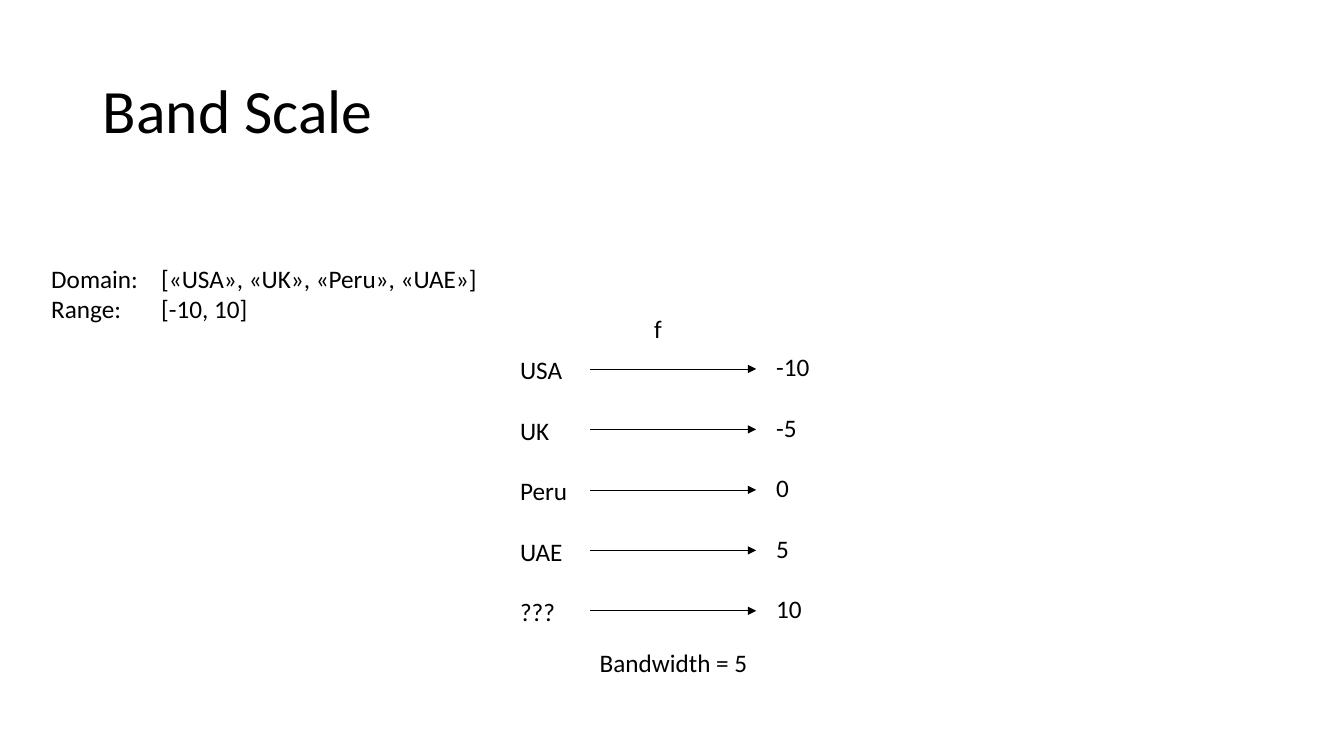
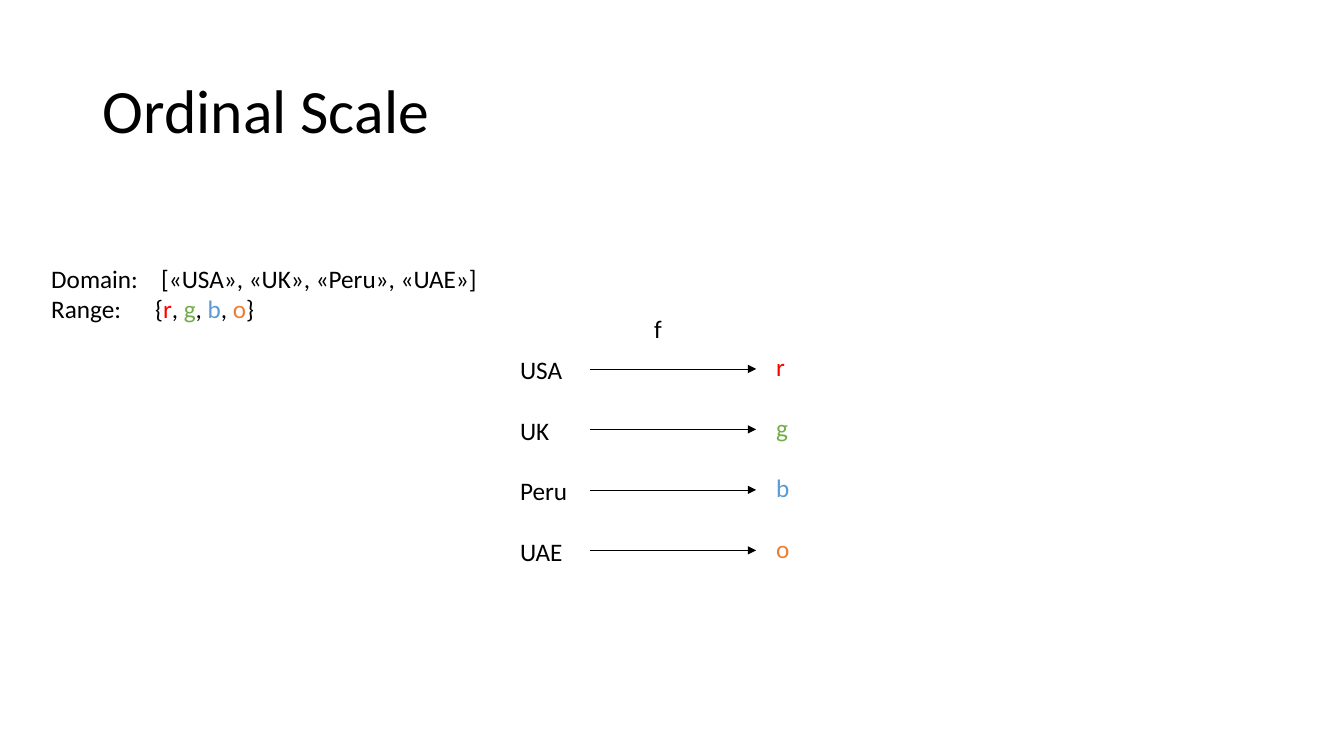
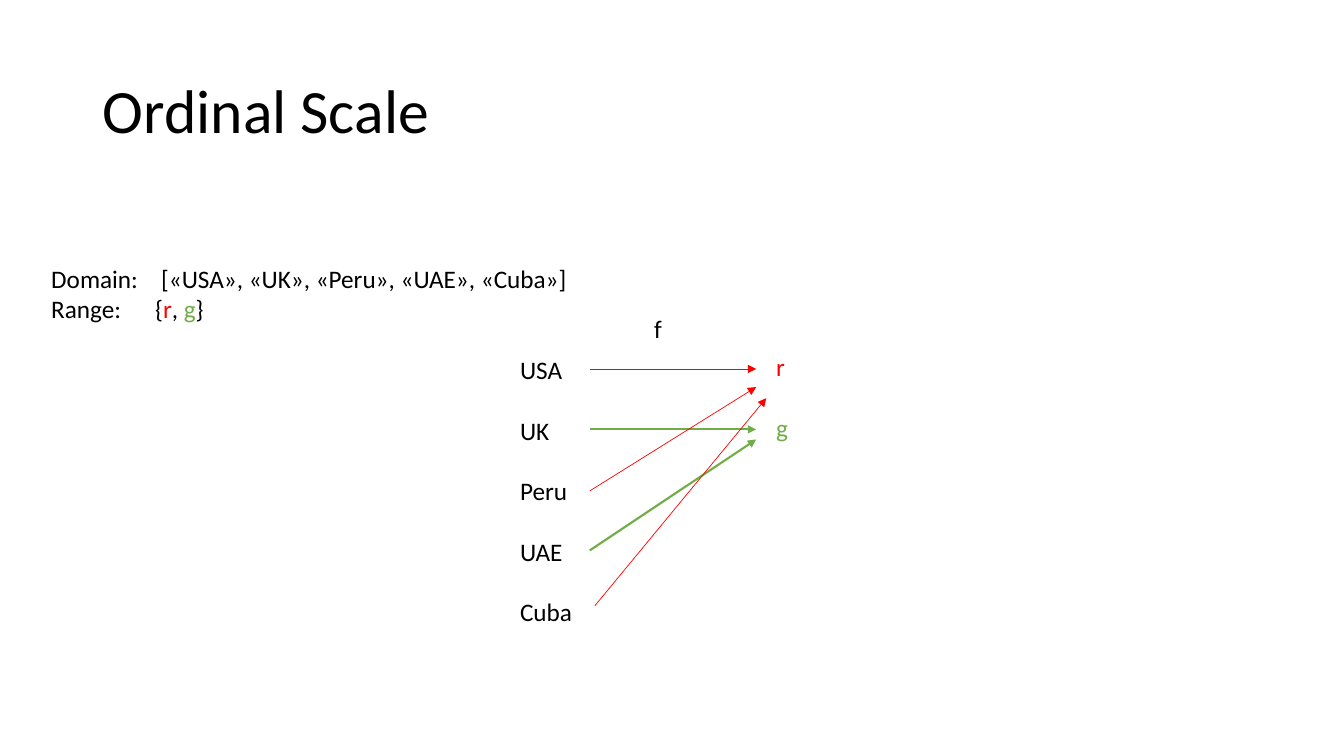
import pptx
import pptx.dml.color
import pptx.enum.shapes
import pptx.enum.text
import pptx.oxml.ns
import pptx.util
import lxml.etree

Inches = pptx.util.Inches
Pt = pptx.util.Pt

COLOURS = {
    "black": "000000",
    "red": "FF0000",
    "green": "70AD47",
    "blue": "5B9BD5",
    "orange": "ED7D31",
}
TITLE_FONT = {"name": "Calibri", "size": Pt(44)}
BODY_FONT = {"name": "Calibri", "size": Pt(18)}
TITLE_BOX = (0.92, 0.4, 11.5, 1.45)
SUMMARY_BOX = (0.41, 2.56, 5.32, 0.71)
MAPPING_BOX = (5.06, 3.06, 3.14, 3.71)
ROW_PITCH = 0.6
ARROW_START, ARROW_END, FIRST_ARROW = 0.79, 2.44, 0.6
COUNTRIES = ["USA", "UK", "Peru", "UAE"]
LETTERS = [("r", "red"), ("g", "green"), ("b", "blue"), ("o", "orange")]


def colour(name):
    return pptx.dml.color.RGBColor.from_string(COLOURS[name])


def apply_format(target, values):
    for name, value in values.items():
        setattr(target, name, value)


def place(shape, box):
    names = ("left", "top", "width", "height")
    apply_format(shape, {name: Inches(value) for name, value in zip(names, box)})


def add_runs(paragraph, runs, font):
    for text, colour_name in runs:
        run = paragraph.add_run()
        run.text = text
        apply_format(run.font, font)
        run.font.color.rgb = colour(colour_name)


def add_text(slide, box, lines, gap=0):
    shape = slide.shapes.add_textbox(*map(Inches, box))
    frame = shape.text_frame
    frame.word_wrap = True
    for index, runs in enumerate(lines):
        paragraph = frame.add_paragraph() if index else frame.paragraphs[0]
        paragraph.space_before = Pt(gap if index else 0)
        add_runs(paragraph, runs, BODY_FONT)
    return shape


def add_tab_stop(paragraph, position):
    properties = paragraph._p.get_or_add_pPr()
    tab_list = lxml.etree.SubElement(properties, pptx.oxml.ns.qn("a:tabLst"))
    tab = lxml.etree.SubElement(tab_list, pptx.oxml.ns.qn("a:tab"))
    tab.set("pos", str(Inches(position)))
    tab.set("algn", "l")


def add_arrow(slide, start, end, colour_name, width):
    arrow = slide.shapes.add_connector(
        pptx.enum.shapes.MSO_CONNECTOR.STRAIGHT, *map(Inches, start + end))
    arrow.line.color.rgb = colour(colour_name)
    arrow.line.width = Pt(width)
    head = lxml.etree.SubElement(
        arrow.line._get_or_add_ln(), pptx.oxml.ns.qn("a:tailEnd"))
    head.set("type", "triangle")
    lxml.etree.SubElement(
        arrow._element.spPr, pptx.oxml.ns.qn("a:effectLst"))


def level_arrow(row, colour_name="black", width=0.5):
    height = FIRST_ARROW + row * ROW_PITCH
    return (ARROW_START, height), (ARROW_END, height), colour_name, width


def add_title(slide, box, text):
    title = slide.shapes.title
    place(title, box)
    frame = title.text_frame
    apply_format(frame, {
        "vertical_anchor": pptx.enum.text.MSO_ANCHOR.MIDDLE,
        "auto_size": pptx.enum.text.MSO_AUTO_SIZE.NONE,
    })
    paragraph = frame.paragraphs[0]
    apply_format(paragraph, {
        "alignment": pptx.enum.text.PP_ALIGN.LEFT,
        "line_spacing": 0.9,
    })
    add_runs(paragraph, [(text, "black")], TITLE_FONT)


def add_summary(slide, box, domain, range_runs, range_tab):
    quoted = ", ".join(f"«{country}»" for country in domain)
    lines = [
        [(f"Domain:\t[{quoted}]", "black")],
        [("Range:\t", "black")] + range_runs,
    ]
    shape = add_text(slide, box, lines)
    for paragraph, position in zip(shape.text_frame.paragraphs, (1.09, range_tab)):
        add_tab_stop(paragraph, position)


def add_mapping(slide, box, inputs, outputs, arrows, note=None):
    left, top = box[:2]
    columns = [
        (0, 0.41, 0.8, [(text, "black") for text in inputs]),
        (1.33, 0, 0.4, [("f", "black")]),
        (2.54, 0.38, 0.6, outputs),
    ]
    for across, down, width, entries in columns:
        height = 0.4 + (len(entries) - 1) * ROW_PITCH
        add_text(slide, (left + across, top + down, width, height),
                 [[entry] for entry in entries], gap=21.6)
    for start, end, colour_name, width in arrows:
        add_arrow(slide, (left + start[0], top + start[1]),
                  (left + end[0], top + end[1]), colour_name, width)
    if note:
        add_text(slide, (left + ARROW_START, top + 3.31, 1.73, 0.4),
                 [[(note, "black")]])


def letter_set(letters):
    runs = [("{", "black")]
    for index, letter in enumerate(letters):
        if index:
            runs.append((", ", "black"))
        runs.append(letter)
    return runs + [("}", "black")]


def add_scale_slide(presentation, title, domain, range_runs, range_tab, **mapping):
    slide = presentation.slides.add_slide(presentation.slide_layouts[5])
    add_title(slide, TITLE_BOX, title)
    add_summary(slide, SUMMARY_BOX, domain, range_runs, range_tab)
    add_mapping(slide, MAPPING_BOX, **mapping)


def main():
    presentation = pptx.Presentation()
    presentation.slide_width = Inches(13.33)
    presentation.slide_height = Inches(7.5)

    add_scale_slide(
        presentation, "Band Scale", COUNTRIES, [("[-10, 10]", "black")], 1.09,
        inputs=COUNTRIES + ["???"],
        outputs=[(str(value), "black") for value in range(-10, 11, 5)],
        arrows=[level_arrow(row) for row in range(5)],
        note="Bandwidth = 5")

    add_scale_slide(
        presentation, "Ordinal Scale", COUNTRIES, letter_set(LETTERS), 1.03,
        inputs=COUNTRIES, outputs=LETTERS,
        arrows=[level_arrow(row) for row in range(4)])

    more_countries = COUNTRIES + ["Cuba"]
    add_scale_slide(
        presentation, "Ordinal Scale", more_countries, letter_set(LETTERS[:2]), 1.03,
        inputs=more_countries, outputs=LETTERS[:2],
        arrows=[
            level_arrow(0, "red"),
            level_arrow(1, "green", 1.5),
            ((ARROW_START, 1.81), (ARROW_END, 0.78), "red", 0.5),
            ((ARROW_START, 2.4), (ARROW_END, 1.3), "green", 1.5),
            ((0.84, 2.95), (2.54, 0.89), "red", 0.5),
        ])

    presentation.save("out.pptx")


if __name__ == "__main__":
    main()
